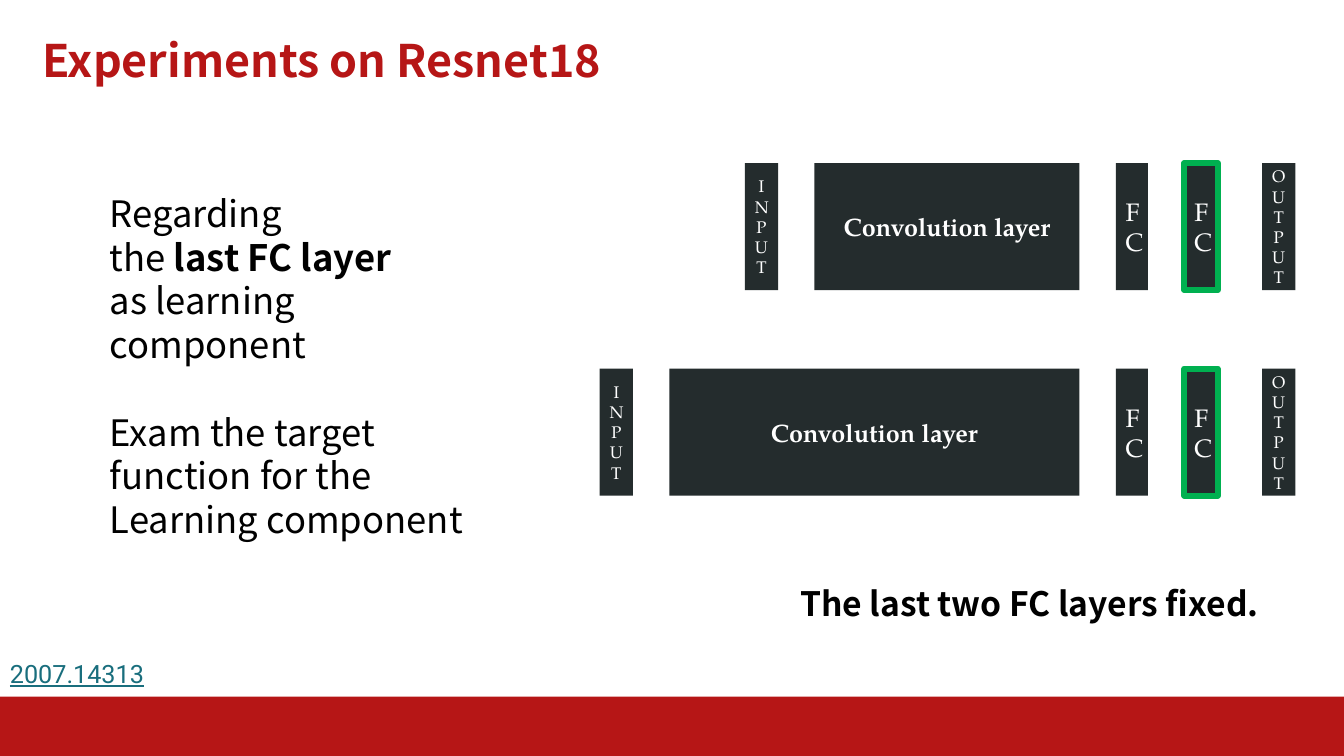
from pptx import Presentation
from pptx.dml.color import RGBColor
from pptx.enum.shapes import MSO_SHAPE as Shape
from pptx.enum.text import MSO_ANCHOR as Anchor, PP_ALIGN as Align
from pptx.util import Pt

COLORS = {"red": "B61616", "dark": "242C2D", "green": "00B050",
          "black": "000000", "white": "FFFFFF", "teal": "196E7D"}
SANS = "Noto Sans CJK SC"
SERIF = "TeX Gyre Pagella"
THIN = 23.75
TALL = 90.7
RIGHT = 771.1


def color(name):
    return RGBColor.from_string(COLORS[name])


def style(font, face, size, tint, bold=None):
    font.name = face
    font.size = Pt(size)
    font.bold = bold
    font.color.rgb = color(tint)


def add_text(slide, box, lines, size, tint="black", bold=None, face=SANS):
    frame = slide.shapes.add_textbox(*map(Pt, box)).text_frame
    frame.word_wrap = True
    for i, line in enumerate(lines):
        para = frame.paragraphs[0] if i == 0 else frame.add_paragraph()
        for j, part in enumerate(line.split("*")):
            if part:
                run = para.add_run()
                run.text = part
                if j % 2:
                    run.font.bold = True
        style(para.font, face, size, tint, bold)
        if face == SANS:
            para.line_spacing = Pt(size * 1.2)
    return frame


def add_rect(slide, box, fill, edge=None):
    rect = slide.shapes.add_shape(Shape.RECTANGLE, *map(Pt, box))
    rect.shadow.inherit = False
    rect.fill.solid()
    rect.fill.fore_color.rgb = color(fill)
    if edge:
        rect.line.color.rgb = color(edge)
        rect.line.width = Pt(4.33)
    else:
        rect.line.fill.background()
    return rect


def add_layer(slide, left, top, label, size=18, wide=THIN, bold=None, edge=None):
    rect = add_rect(slide, (left, top, wide, TALL), "dark", edge)
    frame = rect.text_frame
    frame.word_wrap = True
    frame.vertical_anchor = Anchor.MIDDLE
    para = frame.paragraphs[0]
    para.text = label
    para.alignment = Align.CENTER
    style(para.font, SERIF, size, "white", bold)


def add_net(slide, left, top):
    add_layer(slide, left - 49.7, top, "INPUT", 12)
    add_layer(slide, left, top, "Convolution layer", wide=RIGHT - left, bold=True)
    add_layer(slide, 797, top, "FC", wide=23)
    add_layer(slide, 846, top, "FC", edge="green")
    add_layer(slide, 901.5, top, "OUTPUT", 12)


def main():
    deck = Presentation()
    deck.slide_width, deck.slide_height = Pt(960), Pt(540)
    slide = deck.slides.add_slide(deck.slide_layouts[6])

    add_rect(slide, (0, 497.5, 960, 42.5), "red")
    title = add_text(slide, (30.25, 2, 900, 60), ["Experiments on Resnet18"],
                     32, "red", True)
    title.vertical_anchor = Anchor.BOTTOM
    title.margin_left = title.margin_right = 0
    title.margin_top = title.margin_bottom = 0

    body = add_text(slide, (71.3, 133, 287.3, 227.5), [
        "Regarding",
        "the *last FC layer*",
        "as learning component",
        "Exam the target function for the",
        "Learning component",
    ], 26)
    body.paragraphs[3].space_before = Pt(31.2)

    add_net(slide, 581.8, 116.5)
    add_net(slide, 478.1, 263.3)
    add_text(slide, (564.5, 412.5, 343.5, 36), ["The last two FC layers fixed."],
             24, bold=True)
    cite = add_text(slide, (0, 466.6, 127.5, 29), ["2007.14313"], 18, "teal",
                    face="Roboto")
    cite.paragraphs[0].font.underline = True

    deck.save("out.pptx")


if __name__ == "__main__":
    main()
